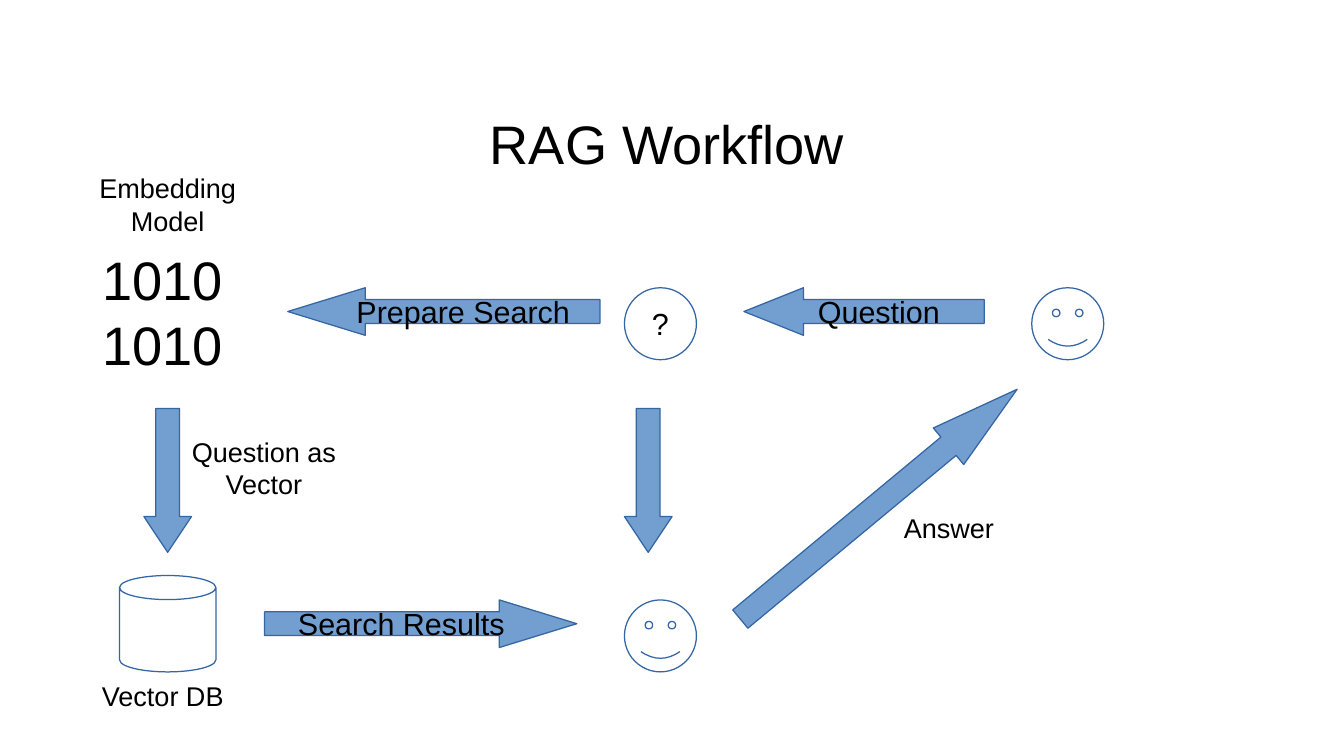
import pptx
from pptx.dml.color import RGBColor
from pptx.enum.shapes import MSO_SHAPE
from pptx.enum.text import MSO_ANCHOR, PP_ALIGN
from pptx.util import Inches, Pt

BLACK = RGBColor(0x00, 0x00, 0x00)
ARROW_BLUE = RGBColor(0x72, 0x9F, 0xCF)
OUTLINE_BLUE = RGBColor(0x34, 0x65, 0xA4)
FONT = "Arial"

# Rows, columns and sizes shared by the diagram (inches)
TOP_ROW, MIDDLE_ROW, BOTTOM_ROW = 2.36, 3.35, 4.92
CENTER_COLUMN = 5.12
ICON = 0.59
THICK = 0.39

# Labels: text, left, top, width, height, size
LABELS = [
    ("RAG Workflow", 0.51, 0.39, 9.92, 1.57, 32),
    ("Embedding Model", 0.59, 1.38, 1.57, 0.59, 16),
    ("1010\n1010", 0.51, 1.77, 1.65, 1.57, 32),
    ("Question as Vector", 1.38, 3.54, 1.57, 0.59, 16),
    ("Vector DB", 0.51, 5.51, 1.65, 0.39, 16),
    ("Answer", 7.09, 4.13, 1.38, 0.39, 16),
]

# Icons: preset, left, top, size, adjustments, text
ICONS = [
    (MSO_SHAPE.OVAL, CENTER_COLUMN, TOP_ROW, ICON, [], "?"),
    (MSO_SHAPE.SMILEY_FACE, 8.46, TOP_ROW, ICON, [0.093], ""),
    (MSO_SHAPE.SMILEY_FACE, CENTER_COLUMN, BOTTOM_ROW, ICON, [0.093], ""),
    (MSO_SHAPE.CAN, 0.98, 4.72, 0.79, [0.25], ""),
]

# Arrows: preset, left, top, length, head ratio, rotation, text
ARROWS = [
    (MSO_SHAPE.LEFT_ARROW, 6.1, TOP_ROW, 1.97, 1.251, 0, "Question"),
    (MSO_SHAPE.LEFT_ARROW, 2.36, TOP_ROW, 2.56, 1.627, 0, "Prepare Search"),
    (MSO_SHAPE.RIGHT_ARROW, 2.17, BOTTOM_ROW, 2.56, 1.627, 0, "Search Results"),
    (MSO_SHAPE.DOWN_ARROW, 1.18, MIDDLE_ROW, 1.18, 0.751, 0, ""),
    (MSO_SHAPE.DOWN_ARROW, CENTER_COLUMN, MIDDLE_ROW, 1.18, 0.751, 0, ""),
    (MSO_SHAPE.UP_ARROW, 7.01, 2.66, 2.95, 1.874, 50.3, ""),
]
HORIZONTAL = (MSO_SHAPE.LEFT_ARROW, MSO_SHAPE.RIGHT_ARROW)


def write(shape, text, size):
    frame = shape.text_frame
    frame.text = text
    frame.word_wrap = True
    frame.vertical_anchor = MSO_ANCHOR.MIDDLE
    for para in frame.paragraphs:
        para.alignment = PP_ALIGN.CENTER
        for span in para.runs:
            span.font.name = FONT
            span.font.size = Pt(size)
            span.font.color.rgb = BLACK


def add_outlined(page, preset, bounds, adjustments, text, fill=None):
    shape = page.shapes.add_shape(preset, *map(Inches, bounds))
    shape.shadow.inherit = False
    for index, value in enumerate(adjustments):
        shape.adjustments[index] = value
    if fill is None:
        shape.fill.background()
    else:
        shape.fill.solid()
        shape.fill.fore_color.rgb = fill
    shape.line.color.rgb = OUTLINE_BLUE
    shape.line.width = Pt(0)
    if text:
        write(shape, text, 18)
    return shape


def add_label(page, text, bounds, size):
    box = page.shapes.add_textbox(*map(Inches, bounds))
    frame = box.text_frame
    frame.margin_left = frame.margin_right = 0
    frame.margin_top = frame.margin_bottom = 0
    write(box, text, size)


def main():
    deck = pptx.Presentation()
    deck.slide_width, deck.slide_height = Inches(11.02), Inches(6.2)
    page = deck.slides.add_slide(deck.slide_layouts[6])

    # People, question and database
    for preset, left, top, size, adjustments, text in ICONS:
        add_outlined(page, preset, (left, top, size, size), adjustments, text)

    # Flow between the steps
    for preset, left, top, length, head, rotation, text in ARROWS:
        extent = (length, THICK) if preset in HORIZONTAL else (THICK, length)
        arrow = add_outlined(page, preset, (left, top, *extent), [0.5, head], text, ARROW_BLUE)
        arrow.rotation = rotation

    # Title and captions
    for text, *bounds, size in LABELS:
        add_label(page, text, bounds, size)

    deck.save("out.pptx")


if __name__ == "__main__":
    main()
